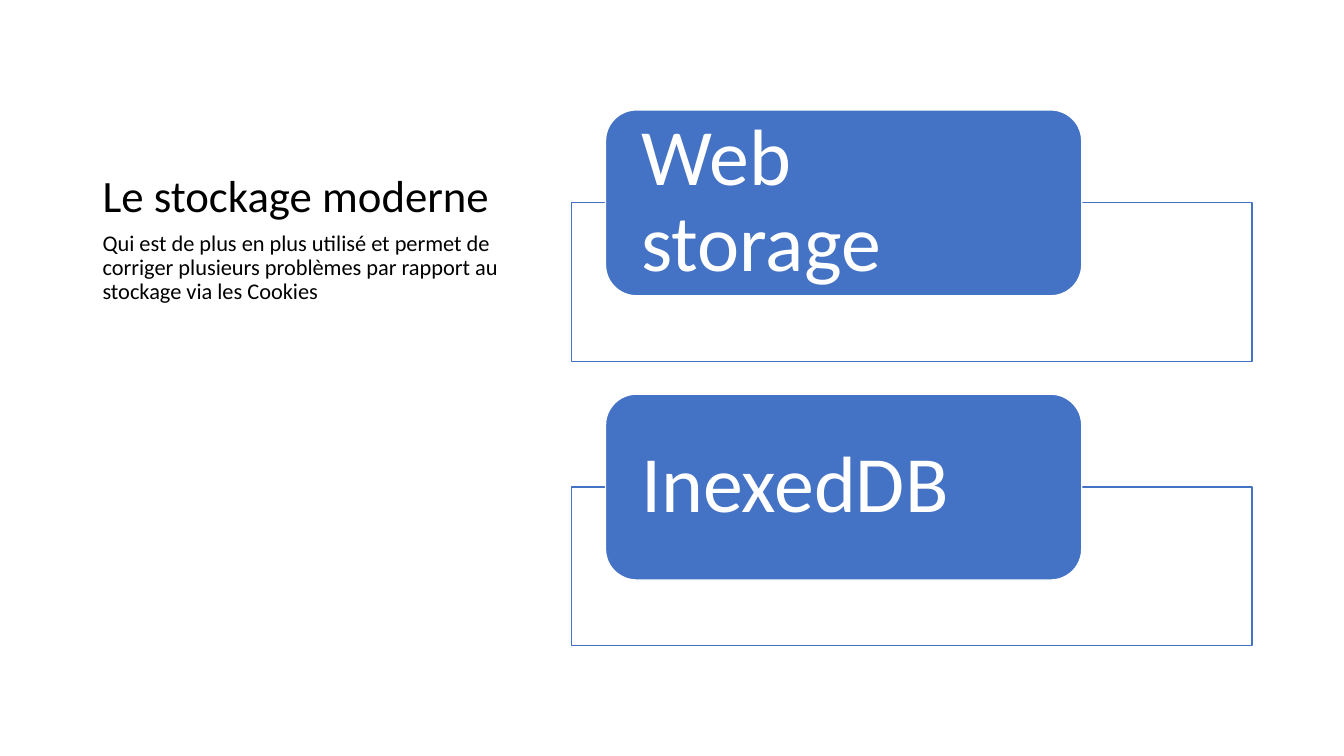
from pptx import Presentation
from pptx.dml.color import RGBColor
from pptx.enum.shapes import MSO_SHAPE
from pptx.enum.text import MSO_ANCHOR, PP_ALIGN
from pptx.util import Pt

RECTANGLE, ROUNDED = MSO_SHAPE.RECTANGLE, MSO_SHAPE.ROUNDED_RECTANGLE
TOP, MIDDLE, BOTTOM = MSO_ANCHOR.TOP, MSO_ANCHOR.MIDDLE, MSO_ANCHOR.BOTTOM
LEFT = PP_ALIGN.LEFT

COLORS = {"text": "000000", "accent": "4472C4", "white": "FFFFFF"}
FONT = "Calibri"
STORAGE_TYPES = ["Web storage", "InexedDB"]
CARD_TOP, CARD_STEP = 78.5, 203


class SlideBuilder:
    """Holds the text style and the current slide."""

    def __init__(self, slide):
        """Keep the slide to draw on."""
        self.slide = slide

    def set_text(self, shape, text, size, color, anchor, margins, before=0, after=0):
        """Put one styled paragraph into a shape."""
        frame = shape.text_frame
        frame.word_wrap = True
        frame.vertical_anchor = anchor
        frame.margin_left = frame.margin_right = Pt(margins[0])
        frame.margin_top = frame.margin_bottom = Pt(margins[1])
        paragraph = frame.paragraphs[0]
        paragraph.text = text
        paragraph.alignment = LEFT
        paragraph.line_spacing = 0.9
        paragraph.space_before, paragraph.space_after = Pt(before), Pt(after)
        paragraph.font.name = FONT
        paragraph.font.size = Pt(size)
        paragraph.font.color.rgb = RGBColor.from_string(COLORS[color])

    def text(self, bounds, text, size, anchor, before=0):
        """Add a text box."""
        box = self.slide.shapes.add_textbox(*map(Pt, bounds))
        self.set_text(box, text, size, "text", anchor, (7.2, 3.6), before)

    def shape(self, kind, bounds, fill, line):
        """Add a filled, outlined shape and return it."""
        shape = self.slide.shapes.add_shape(kind, *map(Pt, bounds))
        shape.shadow.inherit = False
        shape.fill.solid()
        shape.fill.fore_color.rgb = RGBColor.from_string(COLORS[fill])
        shape.line.color.rgb = RGBColor.from_string(COLORS[line])
        shape.line.width = Pt(1)
        return shape

    def storage_card(self, top, label):
        """Add a frame with a rounded label over its upper edge."""
        self.shape(RECTANGLE, (408.2, top + 66.3, 486, 113.4), "white", "accent")
        badge = self.shape(ROUNDED, (432.5, top, 340.2, 132.8), "accent", "white")
        self.set_text(badge, label, 57, "white", MIDDLE, (19.3, 6.5), after=20)


def main():
    """Build and save the slide."""
    presentation = Presentation()
    presentation.slide_width, presentation.slide_height = Pt(960), Pt(540)
    blank = presentation.slide_layouts[6]
    builder = SlideBuilder(presentation.slides.add_slide(blank))

    builder.text((66.2, 36, 309.6, 126), "Le stockage moderne", 32, BOTTOM)
    for index, label in enumerate(STORAGE_TYPES):
        builder.storage_card(CARD_TOP + index * CARD_STEP, label)
    builder.text(
        (66.2, 162, 309.6, 300),
        "Qui est de plus en plus utilisé et permet de corriger plusieurs "
        "problèmes par rapport au stockage via les Cookies",
        16, TOP, before=10,
    )
    presentation.save("out.pptx")


main()
